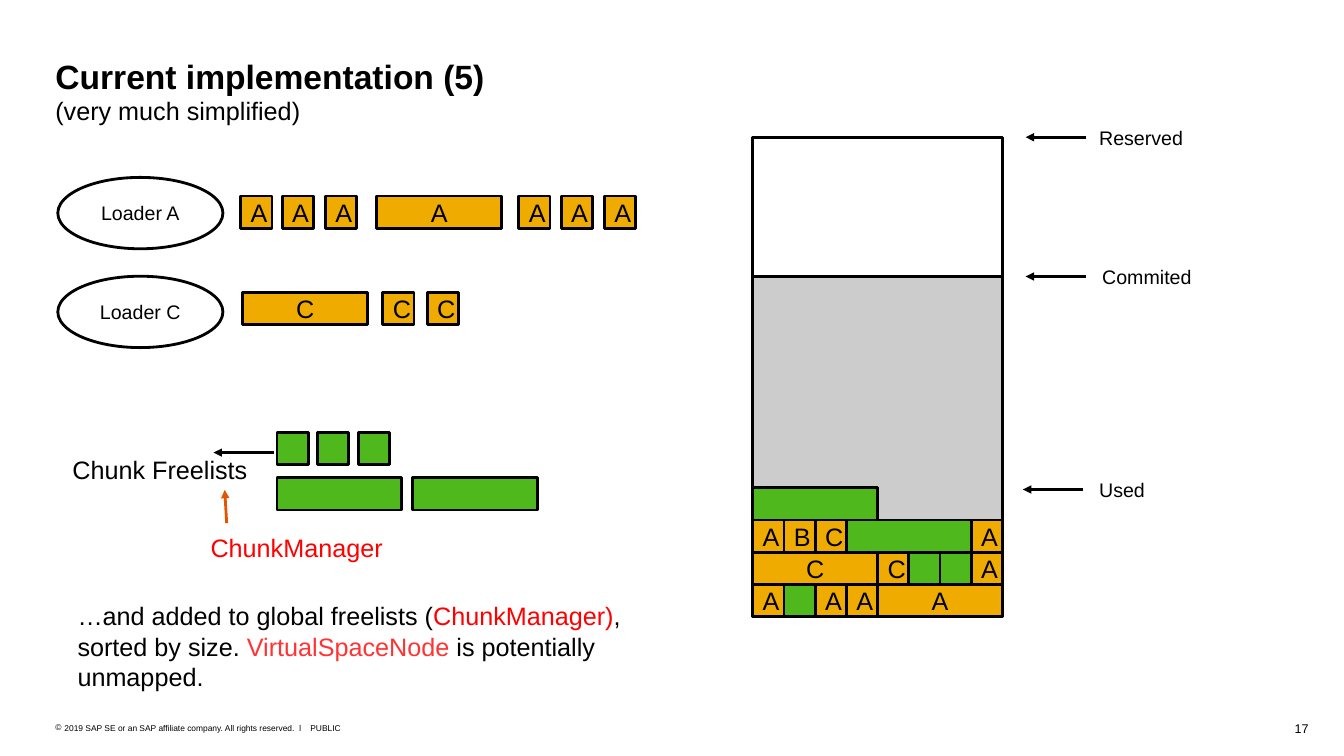
from dataclasses import dataclass
from typing import Any

from lxml.etree import SubElement
from pptx import Presentation
from pptx.dml.color import RGBColor
from pptx.enum.shapes import MSO_CONNECTOR, MSO_SHAPE
from pptx.enum.text import MSO_ANCHOR, MSO_AUTO_SIZE, PP_ALIGN
from pptx.oxml.ns import qn
from pptx.util import Pt

BLACK = RGBColor(0x00, 0x00, 0x00)
GREY = RGBColor(0xCC, 0xCC, 0xCC)
AMBER = RGBColor(0xF0, 0xAB, 0x00)
GREEN = RGBColor(0x4F, 0xB8, 0x1C)
ORANGE = RGBColor(0xE3, 0x55, 0x00)
RED = RGBColor(0xFF, 0x00, 0x00)
LIGHT_RED = RGBColor(0xFF, 0x33, 0x33)

UNIT = 22.3  # width of the smallest chunk
CHUNK_HEIGHT = 23
NODE_LEFT, NODE_TOP, NODE_BOTTOM = 538, 98, 440.4
NODE_WIDTH = 8 * UNIT
COMMITTED_TOP = 197.5
ARROW_LENGTH = 43.2

PLAIN_FRAME = {"margin_left": 0, "margin_top": 0, "margin_right": 0, "margin_bottom": 0}
SHAPE_FRAME = {
    "margin_left": Pt(7.2), "margin_top": Pt(5.76), "margin_right": Pt(7.2),
    "margin_bottom": Pt(5.76), "word_wrap": True, "vertical_anchor": MSO_ANCHOR.MIDDLE,
}


@dataclass(frozen=True)
class Span:
    text: str
    size: float = 18
    color: RGBColor = BLACK
    bold: bool = False
    new_line: bool = False


@dataclass(frozen=True)
class Label:
    left: float
    top: float
    width: float
    height: float
    spans: tuple[Span, ...]
    wrap: bool = True
    align: PP_ALIGN = PP_ALIGN.LEFT
    grow: bool = True
    bullet: str = ""


@dataclass(frozen=True)
class Chunk:
    """A memory chunk; one without an owner is free."""
    left: float
    top: float
    owner: str = ""
    units: int = 1


@dataclass(frozen=True)
class Arrow:
    start: tuple[float, float]
    end: tuple[float, float]
    color: RGBColor = BLACK


@dataclass(frozen=True)
class Marker:
    text: str
    arrow_left: float
    arrow_y: float
    text_left: float
    text_width: float


def apply_format(target: Any, values: dict[str, Any]) -> None:
    for name, value in values.items():
        setattr(target, name, value)


def add_spans(para: Any, spans: tuple[Span, ...]) -> None:
    for span in spans:
        if span.new_line:
            para.add_line_break()
        run = para.add_run()
        run.text = span.text
        apply_format(run.font, {"name": "Arial", "size": Pt(span.size), "bold": span.bold})
        run.font.color.rgb = span.color


def add_bullet(para: Any, character: str) -> None:
    properties = para._p.get_or_add_pPr()
    properties.set("marL", str(Pt(6.5)))
    properties.set("indent", str(-Pt(6.5)))
    SubElement(properties, qn("a:buFont")).set("typeface", "Arial")
    SubElement(properties, qn("a:buChar")).set("char", character)


def add_label(page: Any, label: Label) -> None:
    box = page.shapes.add_textbox(
        Pt(label.left), Pt(label.top), Pt(label.width), Pt(label.height))
    fit = MSO_AUTO_SIZE.SHAPE_TO_FIT_TEXT if label.grow else MSO_AUTO_SIZE.NONE
    apply_format(box.text_frame, PLAIN_FRAME | {"word_wrap": label.wrap, "auto_size": fit})
    para = box.text_frame.paragraphs[0]
    if label.bullet:
        add_bullet(para, label.bullet)
    para.alignment = label.align
    add_spans(para, label.spans)


def add_outlined(page: Any, kind: MSO_SHAPE, left: float, top: float, width: float,
                 height: float, fill: RGBColor | None = None, span: Span | None = None) -> None:
    shape = page.shapes.add_shape(kind, Pt(left), Pt(top), Pt(width), Pt(height))
    shape.shadow.inherit = False
    if fill is None:
        shape.fill.background()
    else:
        shape.fill.solid()
        shape.fill.fore_color.rgb = fill
    shape.line.color.rgb = BLACK
    shape.line.width = Pt(2)
    if span:
        apply_format(shape.text_frame, SHAPE_FRAME)
        para = shape.text_frame.paragraphs[0]
        para.alignment = PP_ALIGN.CENTER
        add_spans(para, (span,))


def add_chunk(page: Any, chunk: Chunk) -> None:
    add_outlined(page, MSO_SHAPE.RECTANGLE, chunk.left, chunk.top, chunk.units * UNIT,
                 CHUNK_HEIGHT, AMBER if chunk.owner else GREEN,
                 Span(chunk.owner) if chunk.owner else None)


def add_arrow(page: Any, arrow: Arrow) -> None:
    line = page.shapes.add_connector(
        MSO_CONNECTOR.STRAIGHT, *(Pt(value) for value in arrow.start + arrow.end))
    line.line.color.rgb = arrow.color
    line.line.width = Pt(2)
    SubElement(line.line._get_or_add_ln(), qn("a:tailEnd")).set("type", "triangle")
    SubElement(line._element.spPr, qn("a:effectLst"))


def add_marker(page: Any, marker: Marker) -> None:
    add_arrow(page, Arrow((marker.arrow_left + ARROW_LENGTH, marker.arrow_y),
                          (marker.arrow_left, marker.arrow_y)))
    add_label(page, Label(marker.text_left, marker.arrow_y - 8.3, marker.text_width, 16.6,
                          (Span(marker.text, 14),), wrap=False))


def stack_chunks(rows: tuple[tuple[tuple[str, int], ...], ...]) -> list[Chunk]:
    """Place rows of (owner, units) pairs, from the bottom of the node upwards."""
    chunks = []
    for level, row in enumerate(rows, start=1):
        column = 0
        for owner, units in row:
            chunks.append(Chunk(NODE_LEFT + column * UNIT, NODE_BOTTOM - level * CHUNK_HEIGHT,
                                owner, units))
            column += units
    return chunks


LABELS = (
    Label(894.2, 514.8, 41, 10.8, (Span("17", 9),), wrap=False, align=PP_ALIGN.RIGHT),
    Label(221.8, 516.2, 40, 7.2, (Span("PUBLIC", 6),), wrap=False),
    Label(39.6, 516.2, 178.6, 7.2, (Span(
        "2019 SAP SE or an SAP affiliate company. All rights reserved.  ǀ", 6),), bullet="©"),
    Label(39.6, 39.6, 880.6, 51, (
        Span("Current implementation (5)", 24, bold=True),
        Span("(very much simplified)", new_line=True)), grow=False),
    Label(55.4, 429.1, 437.8, 64.8, (
        Span("…and added to global freelists ("),
        Span("ChunkManager)", color=RED),
        Span(", sorted by size. "),
        Span("VirtualSpaceNode", color=LIGHT_RED),
        Span(" is potentially unmapped."))),
    Label(51.8, 324.7, 131, 21.6, (Span("Chunk Freelists"),)),
    Label(150.5, 380.2, 175, 21.6, (Span("ChunkManager", color=RED),)),
)
MARKERS = (
    Marker("Reserved", 733, NODE_TOP, 785.5, 60.5),
    Marker("Commited", 733, COMMITTED_TOP, 787.7, 64),
    Marker("Used", 731, 349.6, 785.5, 33),
)
ARROWS = (
    Arrow((195.8, 323.3), (152.6, 323.3)),
    Arrow((162, 373.7), (160.6, 349.9), ORANGE),
)
LOADERS = (("Loader A", 126.7), ("Loader C", 197.3))
NODE_ROWS = (
    (("A", 1), ("", 1), ("A", 1), ("A", 1), ("A", 4)),
    (("C", 4), ("C", 1), ("", 1), ("", 1), ("A", 1)),
    (("A", 1), ("B", 1), ("C", 1), ("", 4), ("A", 1)),
    (("", 4),),
)
LOADER_CHUNKS = (
    [Chunk(left, 140, "A") for left in (172.1, 201.6, 232.6, 370.8, 401, 432)]
    + [Chunk(269.3, 140, "A", 4), Chunk(173.5, 208.8, "C", 4)]
    + [Chunk(left, 208.8, "C") for left in (273.6, 305.3)]
)
FREE_CHUNKS = (
    [Chunk(198 + 29 * index, 309) for index in range(3)]
    + [Chunk(198 + 97 * index, 341.3, units=4) for index in range(2)]
)


def main() -> None:
    deck = Presentation()
    deck.slide_width, deck.slide_height = Pt(960.48), Pt(540)
    page = deck.slides.add_slide(deck.slide_layouts[6])
    for top, fill in ((NODE_TOP, None), (COMMITTED_TOP, GREY)):
        add_outlined(page, MSO_SHAPE.RECTANGLE, NODE_LEFT, top, NODE_WIDTH,
                     NODE_BOTTOM - top, fill)
    for name, top in LOADERS:
        add_outlined(page, MSO_SHAPE.OVAL, 41.3, top, 118, 51, span=Span(name, 14))
    for chunk in stack_chunks(NODE_ROWS) + LOADER_CHUNKS + FREE_CHUNKS:
        add_chunk(page, chunk)
    for marker in MARKERS:
        add_marker(page, marker)
    for label in LABELS:
        add_label(page, label)
    for arrow in ARROWS:
        add_arrow(page, arrow)
    deck.save("out.pptx")


if __name__ == "__main__":
    main()
